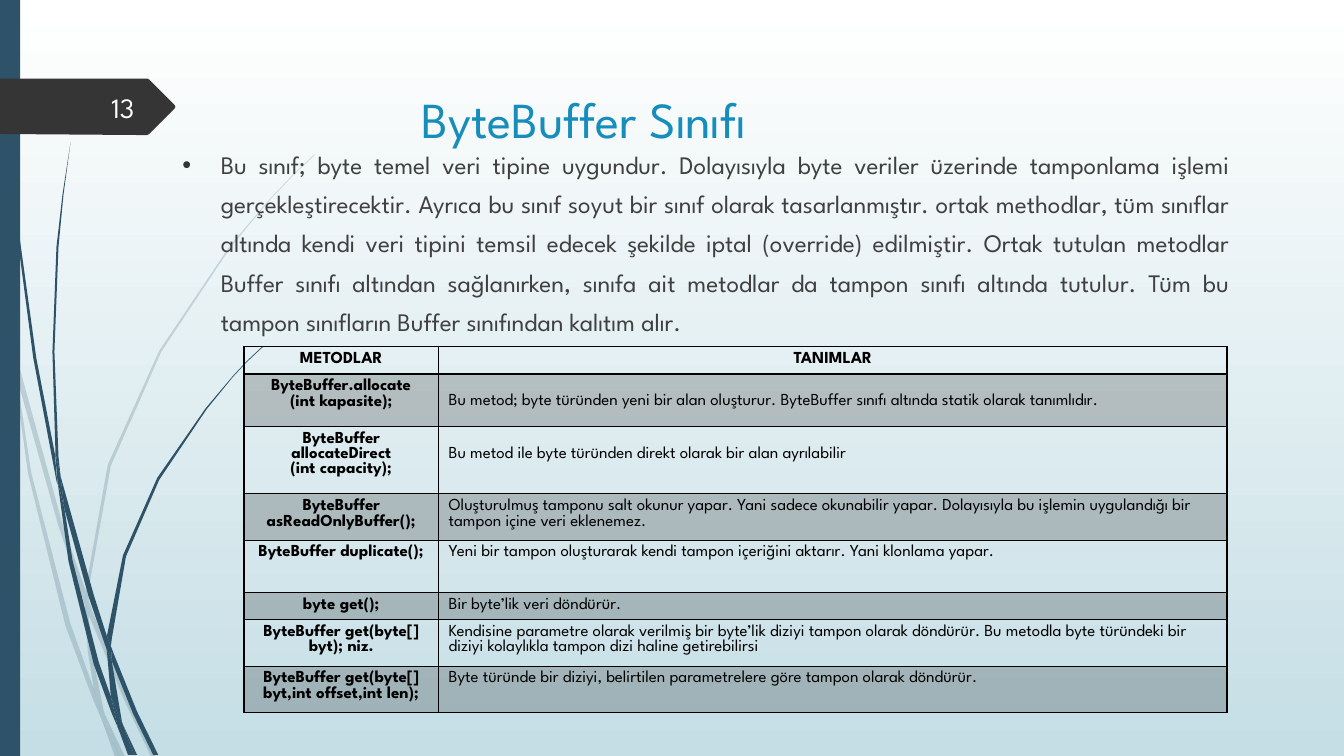
from lxml import etree
from pptx import Presentation, util as u
from pptx.dml.color import RGBColor
from pptx.enum import shapes, text
from pptx.oxml.ns import qn

COLORS = {"stem": "2E5369", "tag": "353535", "title": "178DBB", "body": "404040",
          "number": "FEFFFF", "ink": "000000", "sky": "FFFFFF", "mist": "C5DEE5"}
FONT = "League Spartan"

# Outlines as x y pairs in hundredths of an inch
PALE_STEMS = [
    "11 350 9 322 0 282 0 299 10 344",
    "58 522 84 599 85 586 62 520 14 345 17 376",
    "92 607 88 596 88 610 123 694 150 751 155 751 127 692",
    "119 751 124 751 105 711",
    "93 683 70 619 31 469 17 376 11 350 28 470 65 621 92 693 101 714 99 707",
    "84 599 87 646 93 683 96 692 105 711 103 706 91 646 88 610 88 608",
    "88 584 110 462 160 349 229 245 268 198 290 175 312 154 312 153 289 175 268 197 "
    "228 244 158 348 107 461 85 584 85 586 88 596",
    "101 714 114 751 119 751",
    "88 608 88 610 88 596 85 586 84 599",
    "96 692 93 683 99 707 101 714 119 751 105 711",
]
DARK_STEMS = [
    "7 110 17 233 33 355 56 477 57 481 55 457 55 453 36 355 19 232 8 109 5 48 4 0 3 0 4 48",
    "88 592 106 645 106 633 106 631 93 590 60 472 64 505",
    "113 649 110 641 111 656 132 708 152 749 157 749 136 706",
    "110 691 98 657 72 556 64 505 57 477 68 557 93 659 111 708 117 722 116 717",
    "60 472 58 453 54 349 58 245 63 193 70 141 62 193 56 245 52 349 55 449",
    "133 749 136 749 122 719",
    "57 477 64 505 60 472 55 449 55 453",
    "111 633 125 552 158 476 205 406 231 374 245 359 261 344 260 344 245 358 231 373 "
    "204 405 156 474 122 551 106 631 110 641",
    "117 722 127 749 131 749",
    "106 645 110 691 116 706 122 719 121 716 111 656 109 651",
    "106 645 109 651 111 656 110 641 106 631 106 633",
    "116 706 110 691 116 717 117 722 130 749 133 749 122 719",
]
PAGE_TAG = "173 108 148 133 146 134 136 134 0 133 0 78 136 78 146 78 148 79 173 104 174 106"

METHODS = [
    ("METODLAR", "TANIMLAR", 0.27),
    ("ByteBuffer.allocate\n(int kapasite);",
     "Bu metod; byte türünden yeni bir alan oluşturur. ByteBuffer sınıfı altında statik "
     "olarak tanımlıdır.", 0.52),
    ("ByteBuffer allocateDirect\n(int capacity);",
     "Bu metod ile byte türünden direkt olarak bir alan ayrılabilir", 0.67),
    ("ByteBuffer asReadOnlyBuffer();",
     "Oluşturulmuş tamponu salt okunur yapar. Yani sadece okunabilir yapar. Dolayısıyla bu "
     "işlemin uygulandığı bir tampon içine veri eklenemez.", 0.46),
    ("ByteBuffer duplicate();",
     "Yeni bir tampon oluşturarak kendi tampon içeriğini aktarır. Yani klonlama yapar.", 0.52),
    ("byte get();", "Bir byte’lik veri döndürür.", 0.27),
    ("ByteBuffer get(byte[] byt); niz.",
     "Kendisine parametre olarak verilmiş bir byte’lik diziyi tampon olarak döndürür. Bu "
     "metodla byte türündeki bir diziyi kolaylıkla tampon dizi haline getirebilirsi", 0.46),
    ("ByteBuffer get(byte[] byt,int offset,int len);",
     "Byte türünde bir diziyi, belirtilen parametrelere göre tampon olarak döndürür.", 0.46),
]


def paint(fill, element, color, alpha=100):
    """Fill solidly; alpha is the opacity in percent of the colour inside element."""
    fill.solid()
    fill.fore_color.rgb = RGBColor.from_string(COLORS[color])
    if alpha < 100:
        rgb = element.find(".//" + qn("a:srgbClr"))
        etree.SubElement(rgb, qn("a:alpha"), val=str(alpha * 1000))


def write(frame, wording, size, color, align, bold=False, spacing=1.0):
    frame.text = wording
    frame.word_wrap = True
    for paragraph in frame.paragraphs:
        for name, value in {"alignment": align, "line_spacing": spacing,
                            "space_before": u.Pt(0)}.items():
            setattr(paragraph, name, value)
        for run in paragraph.runs:
            for name, value in {"name": FONT, "size": u.Pt(size), "bold": bold}.items():
                setattr(run.font, name, value)
            run.font.color.rgb = RGBColor.from_string(COLORS[color])


prs = Presentation()
prs.slide_width, prs.slide_height = u.Inches(13.33), u.Inches(7.5)
slide = prs.slides.add_slide(prs.slide_layouts[1])

# Background
sky = slide.background.fill
sky.gradient()
sky.gradient_angle = 270
for stop, color in zip(sky.gradient_stops, ("sky", "mist")):
    stop.color.rgb = RGBColor.from_string(COLORS[color])

# Stems, side band and page tag
for outlines, color, alpha in ((PALE_STEMS, "stem", 20), (DARK_STEMS, "stem", 100),
                               (["0 0 20 0 20 750 0 750"], "stem", 100),
                               ([PAGE_TAG], "tag", 100)):
    if len(outlines) > 1:
        canvas = slide.shapes.add_group_shape().shapes
    else:
        canvas = slide.shapes
    for outline in outlines:
        numbers = [int(n) for n in outline.split()]
        points = list(zip(numbers[::2], numbers[1::2]))
        if color == "stem" and points[0] == (0, 0):
            piece = canvas.add_shape(shapes.MSO_SHAPE.RECTANGLE, 0, 0,
                                     u.Inches(0.2), prs.slide_height)
        else:
            builder = canvas.build_freeform(*points[0], scale=u.Inches(0.01))
            builder.add_line_segments(points[1:], close=True)
            piece = builder.convert_to_shape()
        paint(piece.fill, piece.element, color, alpha)
        piece.line.fill.background()
        piece.shadow.inherit = False

# Title, page number and paragraph
title, summary = slide.placeholders
page_number = slide.shapes.add_textbox(0, 0, 0, 0)
for part, box in ((title, (4.08, 0.64, 9.75, 1.4)), (page_number, (0.58, 0.86, 0.85, 0.4)),
                  (summary, (1.71, 1.34, 10.59, 2.3))):
    part.left, part.top, part.width, part.height = map(u.Inches, box)
    part.text_frame.auto_size = text.MSO_AUTO_SIZE.NONE
    part.text_frame.vertical_anchor = text.MSO_ANCHOR.TOP
    part.element.getparent().append(part.element)
page_number.text_frame.vertical_anchor = text.MSO_ANCHOR.MIDDLE

write(title.text_frame, "ByteBuffer Sınıfı", 36, "title", text.PP_ALIGN.LEFT, spacing=1.3)
write(page_number.text_frame, "13", 20, "number", text.PP_ALIGN.RIGHT)
write(summary.text_frame,
      "Bu sınıf; byte temel veri tipine uygundur. Dolayısıyla byte veriler üzerinde tamponlama "
      "işlemi gerçekleştirecektir. Ayrıca bu sınıf soyut bir sınıf olarak tasarlanmıştır. ortak "
      "methodlar, tüm sınıflar altında kendi veri tipini temsil edecek şekilde iptal (override) "
      "edilmiştir. Ortak tutulan metodlar Buffer sınıfı altından sağlanırken, sınıfa ait metodlar "
      "da tampon sınıfı altında tutulur. Tüm bu tampon sınıfların Buffer sınıfından kalıtım alır.",
      18, "body", text.PP_ALIGN.JUSTIFY, spacing=1.3)
bullet = summary.text_frame.paragraphs[0]._p.get_or_add_pPr()
bullet.set("marL", str(u.Inches(0.38)))
bullet.set("indent", str(u.Inches(-0.38)))
bullet_color = etree.SubElement(bullet, qn("a:buClr"))
etree.SubElement(bullet_color, qn("a:srgbClr"), val=COLORS["tag"])
etree.SubElement(bullet, qn("a:buFont"), typeface="Arial")
etree.SubElement(bullet, qn("a:buChar"), char="•")

# Method table
methods = slide.shapes.add_table(len(METHODS), 2, u.Inches(2.42), u.Inches(3.44),
                                 u.Inches(9.75), u.Inches(3.63)).table
methods.first_row = methods.horz_banding = False
for column, width in zip(methods.columns, (1.93, 7.82)):
    column.width = u.Inches(width)
for r, (method, meaning, height) in enumerate(METHODS):
    methods.rows[r].height = u.Inches(height)
    for c, wording in enumerate((method, meaning)):
        cell = methods.cell(r, c)
        heading = r == 0 or c == 0
        write(cell.text_frame, wording, 12, "ink",
              text.PP_ALIGN.CENTER if heading else text.PP_ALIGN.LEFT, heading)
        if c == 1 and r in (1, 2):
            cell.margin_top = u.Inches(0.2)
        if r % 2:
            paint(cell.fill, cell._tc, "ink", 20)
            # The first colour in the cell belongs to its text, so move the alpha to the fill
            alpha = cell._tc.find(".//" + qn("a:alpha"))
            cell._tc.tcPr.find(".//" + qn("a:srgbClr")).append(alpha)
        else:
            cell.fill.background()
        for i, side in enumerate(("a:lnL", "a:lnR", "a:lnT", "a:lnB")):
            points = 2 if r == 0 and side == "a:lnB" else 1
            border = etree.Element(qn(side), w=str(u.Pt(points)))
            stroke = etree.SubElement(border, qn("a:solidFill"))
            etree.SubElement(stroke, qn("a:srgbClr"), val=COLORS["ink"])
            cell._tc.tcPr.insert(i, border)

prs.save("out.pptx")
